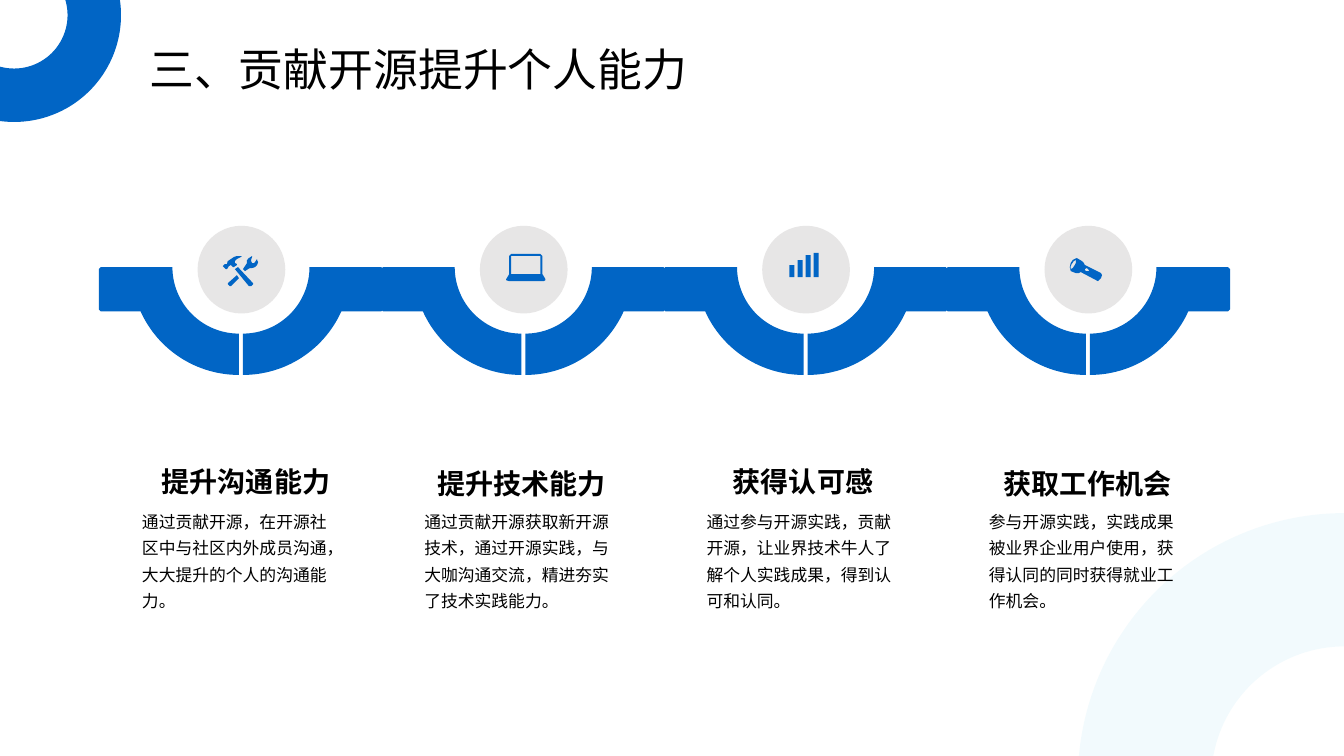
from math import asin, cos, pi, sin

from lxml.etree import SubElement
from pptx import Presentation
from pptx.dml.color import RGBColor
from pptx.enum.shapes import MSO_SHAPE
from pptx.enum.text import MSO_ANCHOR, MSO_AUTO_SIZE, PP_ALIGN
from pptx.oxml.ns import qn
from pptx.util import Inches, Pt

COLORS = {"blue": "0165C5", "cyan": "02B0E1", "grey": "E7E6E6", "black": "000000"}

FIRST_CENTER, PITCH, BAND_TOP = 2.39, 2.8, 2.65

# heading, heading box (left, top, width), body text
STEPS = [
    ("提升沟通能力", (1.38, 4.39, 2.12),
     "通过贡献开源，在开源社区中与社区内外成员沟通，大大提升的个人的沟通能力。"),
    ("提升技术能力", (4.19, 4.41, 1.97),
     "通过贡献开源获取新开源技术，通过开源实践，与大咖沟通交流，精进夯实了技术实践能力。"),
    ("获得认可感", (7.05, 4.39, 1.83),
     "通过参与开源实践，贡献开源，让业界技术牛人了解个人实践成果，得到认可和认同。"),
    ("获取工作机会", (9.7, 4.41, 2.17),
     "参与开源实践，实践成果被业界企业用户使用，获得认同的同时获得就业工作机会。"),
]

TOOLS = [
    [(2.26, 2.81), (2.26, 2.82), (2.28, 2.84), (2.29, 2.84), (2.37, 2.76), (2.35, 2.73)],
    [(2.55, 2.58), (2.55, 2.57), (2.53, 2.6), (2.52, 2.61), (2.5, 2.61), (2.49, 2.59),
     (2.49, 2.58), (2.5, 2.55), (2.5, 2.54), (2.47, 2.56), (2.45, 2.58), (2.45, 2.61),
     (2.43, 2.64), (2.41, 2.67), (2.43, 2.69), (2.46, 2.67), (2.48, 2.66), (2.5, 2.66),
     (2.53, 2.65), (2.55, 2.63), (2.56, 2.6)],
    [(2.36, 2.65), (2.33, 2.67), (2.47, 2.84), (2.49, 2.84), (2.51, 2.82), (2.51, 2.81)],
    [(2.27, 2.64), (2.29, 2.63), (2.31, 2.65), (2.32, 2.65), (2.35, 2.63), (2.35, 2.62),
     (2.33, 2.61), (2.33, 2.59), (2.35, 2.57), (2.39, 2.55), (2.4, 2.54), (2.35, 2.54),
     (2.32, 2.55), (2.29, 2.57), (2.26, 2.59), (2.25, 2.62), (2.23, 2.62), (2.21, 2.64),
     (2.24, 2.67), (2.25, 2.67), (2.26, 2.66)],
]
LAPTOP = [
    [(5.36, 2.72), (5.07, 2.72), (5.07, 2.54), (5.36, 2.54)],
    [(5.02, 2.77), (5.02, 2.78), (5.05, 2.79), (5.39, 2.79), (5.41, 2.78), (5.41, 2.77),
     (5.38, 2.72), (5.38, 2.54), (5.36, 2.52), (5.07, 2.52), (5.05, 2.54), (5.05, 2.72)],
]
FLASHLIGHT = [
    [(10.66, 2.63), (10.67, 2.61), (10.67, 2.58), (10.65, 2.59), (10.63, 2.62),
     (10.62, 2.64), (10.62, 2.67), (10.64, 2.66)],
    [(10.8, 2.69), (10.8, 2.68), (10.78, 2.66), (10.76, 2.67), (10.76, 2.68),
     (10.77, 2.69), (10.79, 2.69)],
    [(10.62, 2.61), (10.64, 2.58), (10.68, 2.56), (10.73, 2.59), (10.75, 2.61),
     (10.76, 2.63), (10.92, 2.71), (10.93, 2.73), (10.92, 2.76), (10.89, 2.79),
     (10.72, 2.7), (10.7, 2.71), (10.67, 2.71), (10.62, 2.69), (10.61, 2.65)],
]
BAR_HEIGHTS = [0.12, 0.17, 0.22, 0.24]


def arc(radius, start, end, steps=32):
    angles = [start + (end - start) * i / steps for i in range(steps + 1)]
    return [(radius * cos(a), radius * sin(a)) for a in angles]


def half_band(center, side):
    """Outline of one half of a band link; side is -1 for left, 1 for right."""
    inner, outer, depth, reach, corner = 0.66, 1.07, 0.44, 1.39, 0.02
    points = [(reach - corner, 0), (reach, corner), (reach, depth - corner),
              (reach - corner, depth)]
    points += arc(outer, asin(depth / outer), pi / 2) + arc(inner, pi / 2, 0)
    return [(center + side * (x + 0.02), BAND_TOP + y) for x, y in points]


class SlideBuilder:
    def __init__(self, slide):
        self.s = slide

    def paint(self, sp, color, alpha=None):
        sp.shadow.inherit = False
        sp.fill.solid()
        sp.fill.fore_color.rgb = RGBColor.from_string(COLORS[color])
        sp.line.fill.background()
        if alpha is not None:
            clr = sp.element.find(".//" + qn("a:srgbClr"))
            SubElement(clr, qn("a:alpha"), val=str(alpha * 1000))

    def shape(self, kind, x, y, w, h, color, alpha=None):
        sp = self.s.shapes.add_shape(kind, Inches(x), Inches(y), Inches(w), Inches(h))
        self.paint(sp, color, alpha)

    def outline(self, contours, color):
        (x, y), *_ = contours[0]
        fb = self.s.shapes.build_freeform(Inches(x), Inches(y))
        for i, contour in enumerate(contours):
            points = [(Inches(px), Inches(py)) for px, py in contour]
            if i:
                fb.move_to(*points[0])
            fb.add_line_segments(points[1:], close=True)
        self.paint(fb.convert_to_shape(), color)

    def set_text(self, tf, text, size, font, spacing, bold=False, align=PP_ALIGN.LEFT):
        tf.word_wrap = True
        p = tf.paragraphs[0]
        p.text = text
        p.alignment = align
        p.line_spacing = spacing
        p.font.size = Pt(size)
        p.font.name = font
        p.font.bold = bold
        p.font.color.rgb = RGBColor.from_string(COLORS["black"])

    def title(self, text, x, y, w, h):
        sp = self.s.shapes.title
        sp.left, sp.top, sp.width, sp.height = (Inches(v) for v in (x, y, w, h))
        sp.text_frame.vertical_anchor = MSO_ANCHOR.MIDDLE
        self.set_text(sp.text_frame, text, 32, "Arial", 0.9)

    def text(self, text, x, y, w, h, *style, **options):
        sp = self.s.shapes.add_textbox(Inches(x), Inches(y), Inches(w), Inches(h))
        self.set_text(sp.text_frame, text, *style, **options)
        sp.text_frame.auto_size = MSO_AUTO_SIZE.SHAPE_TO_FIT_TEXT


def main():
    prs = Presentation()
    prs.slide_width, prs.slide_height = Inches(13.33), Inches(7.5)
    b = SlideBuilder(prs.slides.add_slide(prs.slide_layouts[5]))

    b.shape(MSO_SHAPE.DONUT, -0.92, -0.91, 2.12, 2.12, "blue")
    b.shape(MSO_SHAPE.DONUT, 10.69, 5.09, 5.29, 5.29, "cyan", alpha=5)
    b.title("三、贡献开源提升个人能力", 1.38, 0.38, 11.5, 0.67)

    for i, (heading, (x, y, w), body) in enumerate(STEPS):
        center = FIRST_CENTER + i * PITCH
        for side in (-1, 1):
            b.outline([half_band(center, side)], "blue")
        b.shape(MSO_SHAPE.OVAL, center - 0.43, 2.24, 0.87, 0.87, "grey")
        b.text(heading, x, y, w, 0.56, 20, "Arial", 1.5, bold=True, align=PP_ALIGN.CENTER)
        b.text(body, center - 1.08, 4.97, 2.12, 1.13, 12, "Calibri", 1.3)

    for icon in (TOOLS, LAPTOP, FLASHLIGHT):
        b.outline(icon, "blue")
    for i, height in enumerate(BAR_HEIGHTS):
        b.shape(MSO_SHAPE.RECTANGLE, 7.83 + i * 0.08, 2.75 - height, 0.05, height, "blue")

    prs.save("out.pptx")


if __name__ == "__main__":
    main()
